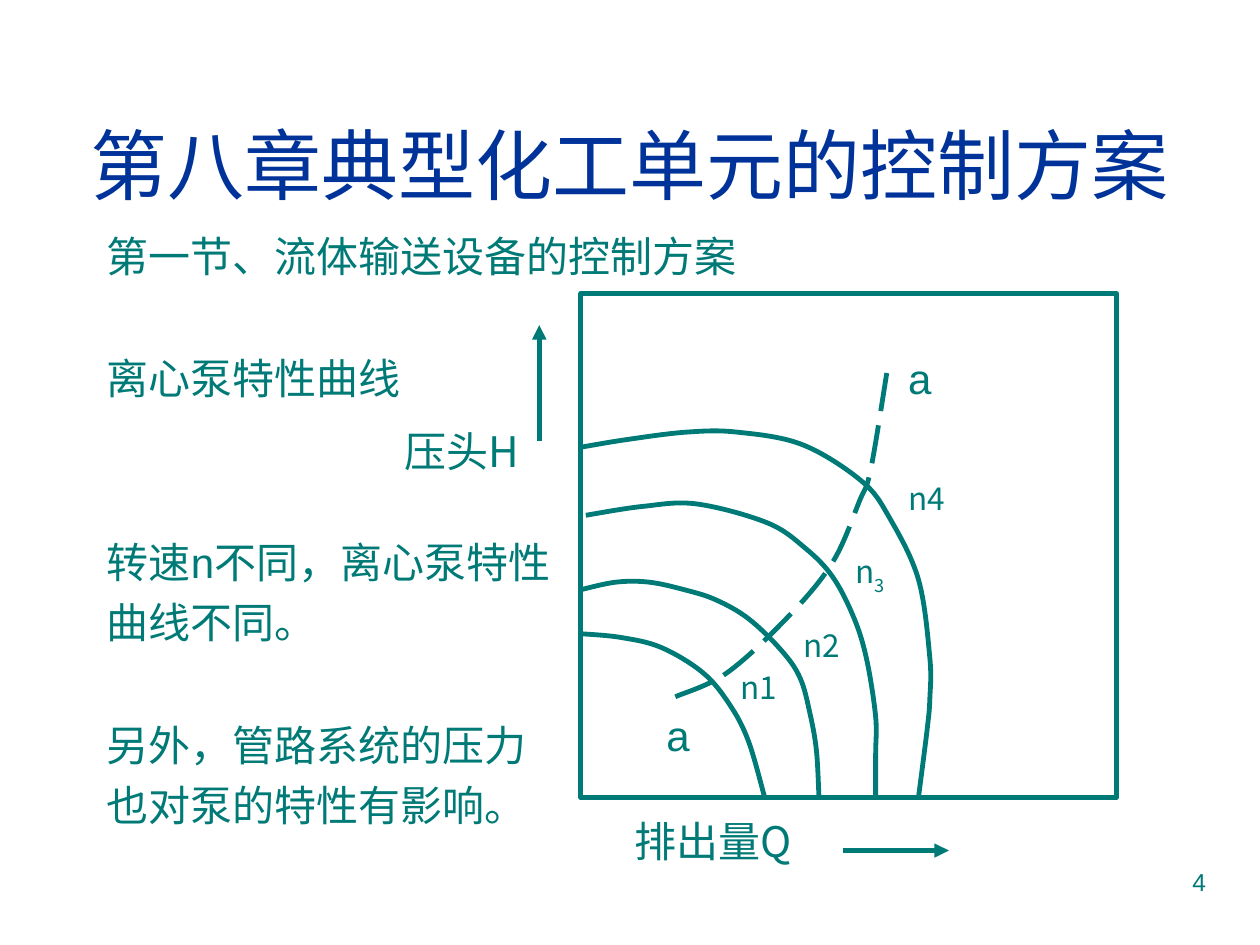
from dataclasses import dataclass

import lxml.etree
import pptx
import pptx.dml.color
import pptx.enum.dml
import pptx.enum.shapes
import pptx.enum.text
import pptx.oxml.ns
import pptx.util
from pptx.util import Inches

ALIGN = pptx.enum.text.PP_ALIGN
ANCHOR = pptx.enum.text.MSO_ANCHOR


@dataclass(frozen=True)
class Theme:
    teal: str = "007A77"
    navy: str = "003399"
    latin: str = "Arial"
    chinese: str = "Noto Sans CJK SC"
    title: int = 44
    body: int = 24
    label: int = 18
    number: int = 14
    stroke: float = 2.75


@dataclass(frozen=True)
class Box:
    left: float
    top: float
    width: float
    height: float

    def inside(self, left, top, width, height):
        return Box(self.left + left, self.top + top, width, height)

    def lengths(self):
        return [Inches(side) for side in (self.left, self.top, self.width, self.height)]


THEME = Theme()

# Knots of each pump curve, in inches from the corner of the plot frame
PUMP_CURVES = [
    [(0, 2.7), (0.32, 2.73), (0.64, 2.81), (0.97, 3.01), (1.18, 3.26),
     (1.33, 3.55), (1.46, 4)],
    [(0, 2.35), (0.28, 2.29), (0.54, 2.29), (0.82, 2.35), (1.07, 2.43), (1.33, 2.58),
     (1.59, 2.83), (1.74, 3.05), (1.82, 3.34), (1.87, 3.63), (1.89, 4)],
    [(0.04, 1.76), (0.49, 1.69), (0.92, 1.67), (1.48, 1.82), (1.78, 2.02), (2, 2.25),
     (2.17, 2.58), (2.27, 2.91), (2.34, 3.36), (2.34, 3.65), (2.34, 4)],
    [(0, 1.22), (0.36, 1.16), (0.84, 1.1), (1.24, 1.1), (1.76, 1.2), (2.23, 1.49),
     (2.45, 1.78), (2.68, 2.27), (2.77, 2.89), (2.77, 3.22), (2.75, 3.45), (2.68, 4)],
]
PIPE_CURVE = [(0.75, 3.2), (1.16, 3.01), (1.65, 2.56), (2, 2.13), (2.21, 1.65),
              (2.3, 1.4), (2.43, 0.62)]


def color(code):
    return pptx.dml.color.RGBColor.from_string(code)


def add_span(para, text, *, size=THEME.body, font=THEME.latin, ink=THEME.teal, baseline=0):
    span = para.add_run()
    span.text = text
    span.font.size = pptx.util.Pt(size)
    span.font.name = font
    span.font.color.rgb = color(ink)
    east = lxml.etree.SubElement(span.font._element, pptx.oxml.ns.qn("a:ea"))
    east.set("typeface", THEME.chinese)
    if baseline:
        span.font._element.set("baseline", str(baseline))
    return span


def add_frame(page, box, anchor=ANCHOR.TOP):
    frame = page.shapes.add_textbox(*box.lengths()).text_frame
    frame.word_wrap = True
    frame.vertical_anchor = anchor
    return frame


def add_line_text(page, box, text, align=ALIGN.LEFT, anchor=ANCHOR.TOP, **style):
    para = add_frame(page, box, anchor).paragraphs[0]
    para.alignment = align
    add_span(para, text, **style)
    return para


def add_notes(page, box):
    # Each line is paired with the number of empty rows above it
    lines = [("第一节、流体输送设备的控制方案", 0), ("离心泵特性曲线", 1),
             ("转速n不同，离心泵特性", 2), ("曲线不同。", 0),
             ("另外，管路系统的压力", 1), ("也对泵的特性有影响。", 0)]
    gap, row = 6, 35
    frame = add_frame(page, box)
    for index, (text, empty_rows) in enumerate(lines):
        para = frame.add_paragraph() if index else frame.paragraphs[0]
        if index:
            para.space_before = pptx.util.Pt(gap + row * empty_rows)
        add_span(para, text)


def style_line(line):
    line.color.rgb = color(THEME.teal)
    line.width = pptx.util.Pt(THEME.stroke)


def bend_segments(curve):
    """Turn the straight segments of a freeform into smooth Bezier segments."""
    qn = pptx.oxml.ns.qn
    knots = [(int(pt.get("x")), int(pt.get("y"))) for pt in curve._element.iter(qn("a:pt"))]
    padded = [knots[0], *knots, knots[-1]]
    segments = list(curve._element.iter(qn("a:lnTo")))
    for segment, a, b, c, d in zip(segments, padded, padded[1:], padded[2:], padded[3:]):
        leave = [q + (r - p) / 6 for p, q, r in zip(a, b, c)]
        arrive = [r - (s - q) / 6 for q, r, s in zip(b, c, d)]
        bend = lxml.etree.Element(qn("a:cubicBezTo"))
        for x, y in (leave, arrive, c):
            lxml.etree.SubElement(bend, qn("a:pt"), x=str(round(x)), y=str(round(y)))
        segment.getparent().replace(segment, bend)


def add_curve(page, box, knots, dashed=False):
    points = [(Inches(box.left + x), Inches(box.top + y)) for x, y in knots]
    builder = page.shapes.build_freeform(*points[0])
    builder.add_line_segments(points[1:], close=False)
    curve = builder.convert_to_shape()
    bend_segments(curve)
    curve.shadow.inherit = False
    curve.fill.background()
    style_line(curve.line)
    if dashed:
        curve.line.dash_style = pptx.enum.dml.MSO_LINE.LONG_DASH


def add_arrow(page, box, start, end):
    ends = [Inches(side) for x, y in (start, end) for side in (box.left + x, box.top + y)]
    arrow = page.shapes.add_connector(pptx.enum.shapes.MSO_CONNECTOR.STRAIGHT, *ends)
    style_line(arrow.line)
    head = lxml.etree.SubElement(arrow.line._get_or_add_ln(), pptx.oxml.ns.qn("a:tailEnd"))
    head.set("type", "triangle")
    lxml.etree.SubElement(arrow._element.spPr, pptx.oxml.ns.qn("a:effectLst"))


def add_pump_plot(page, box):
    group = page.shapes.add_group_shape()

    # Frame and curves
    border = group.shapes.add_shape(pptx.enum.shapes.MSO_SHAPE.RECTANGLE, *box.lengths())
    border.shadow.inherit = False
    border.fill.background()
    style_line(border.line)
    for knots in PUMP_CURVES:
        add_curve(group, box, knots)
    add_curve(group, box, PIPE_CURVE, dashed=True)

    # Axis names and arrows
    add_line_text(group, box.inside(0.33, 4.09, 1.92, 0.5), "排出量Q", font=THEME.chinese)
    add_line_text(group, box.inside(-1.5, 1, 1.2, 0.5), "压头H", font=THEME.chinese)
    add_arrow(group, box, (-0.33, 1.17), (-0.33, 0.25))
    add_arrow(group, box, (2.08, 4.42), (2.92, 4.42))

    # Curve labels
    for left, top, width in ((2.5, 0.42, 0.5), (0.58, 3.25, 0.42)):
        add_line_text(group, box.inside(left, top, width, 0.5), "a")
    style = {"size": THEME.label, "font": THEME.chinese}
    para = add_line_text(group, box.inside(2.08, 2, 0.58, 0.46), "n", **style)
    add_span(para, "3", baseline=-30000, **style)
    for text, left, top in (("n4", 2.5, 1.42), ("n2", 1.67, 2.59), ("n1", 1.17, 2.92)):
        add_line_text(group, box.inside(left, top, 0.58, 0.4), text, **style)


def main():
    deck = pptx.Presentation()
    deck.slide_width, deck.slide_height = Inches(10), Inches(7.5)
    page = deck.slides.add_slide(deck.slide_layouts[6])
    add_line_text(page, Box(7.17, 6.83, 2.5, 0.52), "4", align=ALIGN.RIGHT,
                  size=THEME.number)
    add_line_text(page, Box(0.33, 0.67, 9.34, 1.25), "第八章典型化工单元的控制方案",
                  align=ALIGN.CENTER, anchor=ANCHOR.MIDDLE, size=THEME.title, ink=THEME.navy)
    add_notes(page, Box(0.75, 1.78, 8.58, 5.12))
    add_pump_plot(page, Box(4.61, 2.33, 4.25, 4))
    deck.save("out.pptx")


if __name__ == "__main__":
    main()
